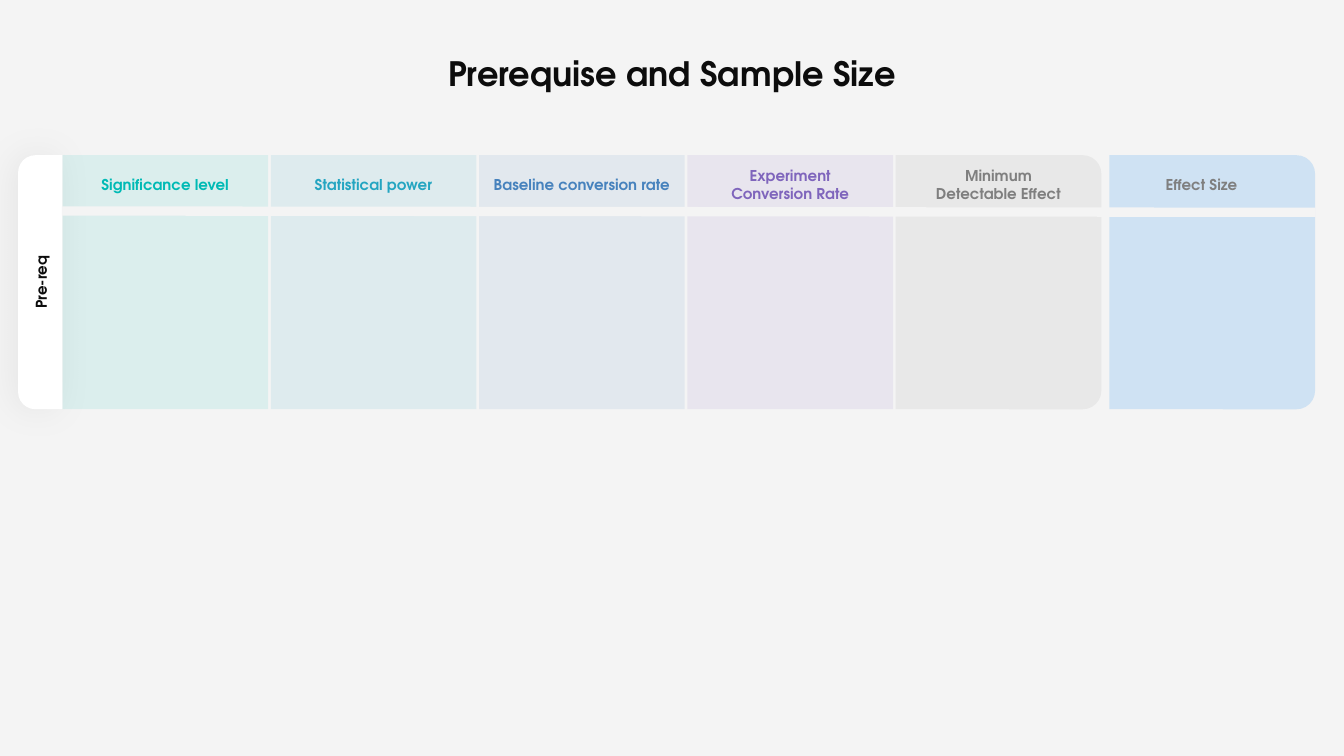
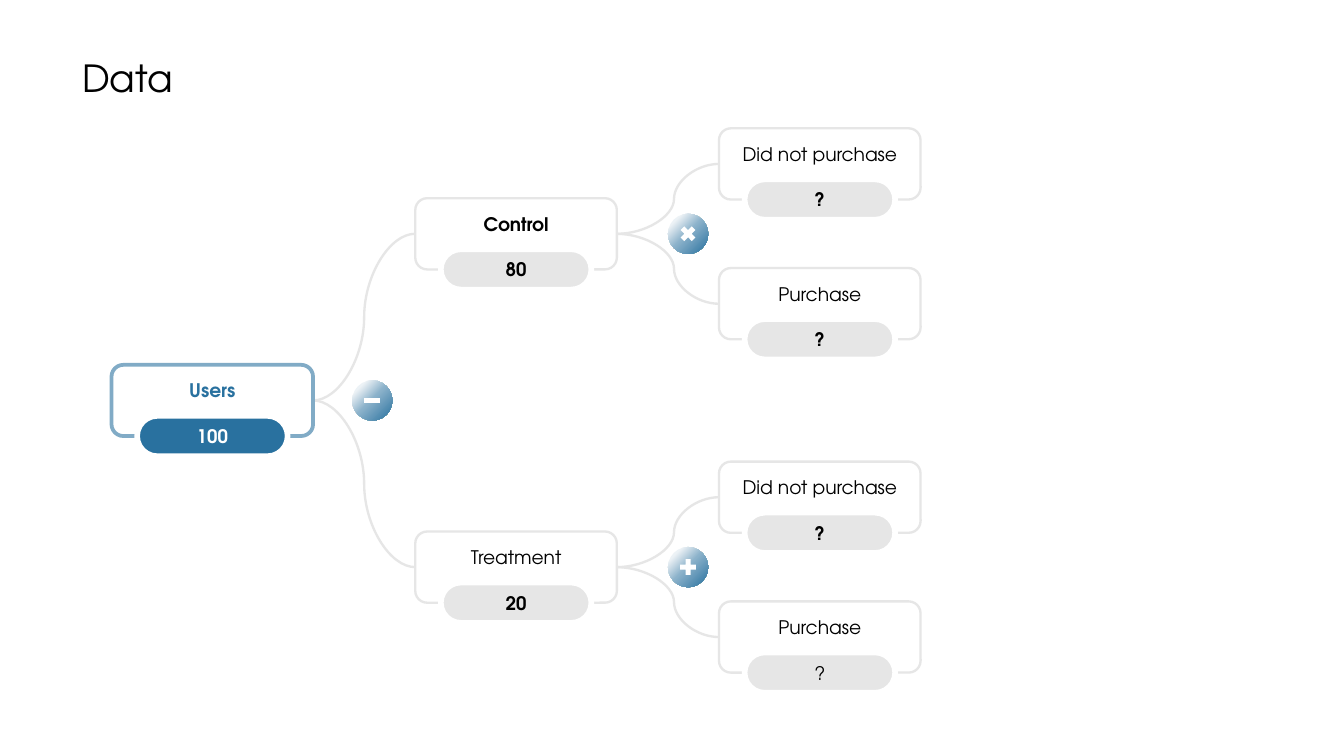
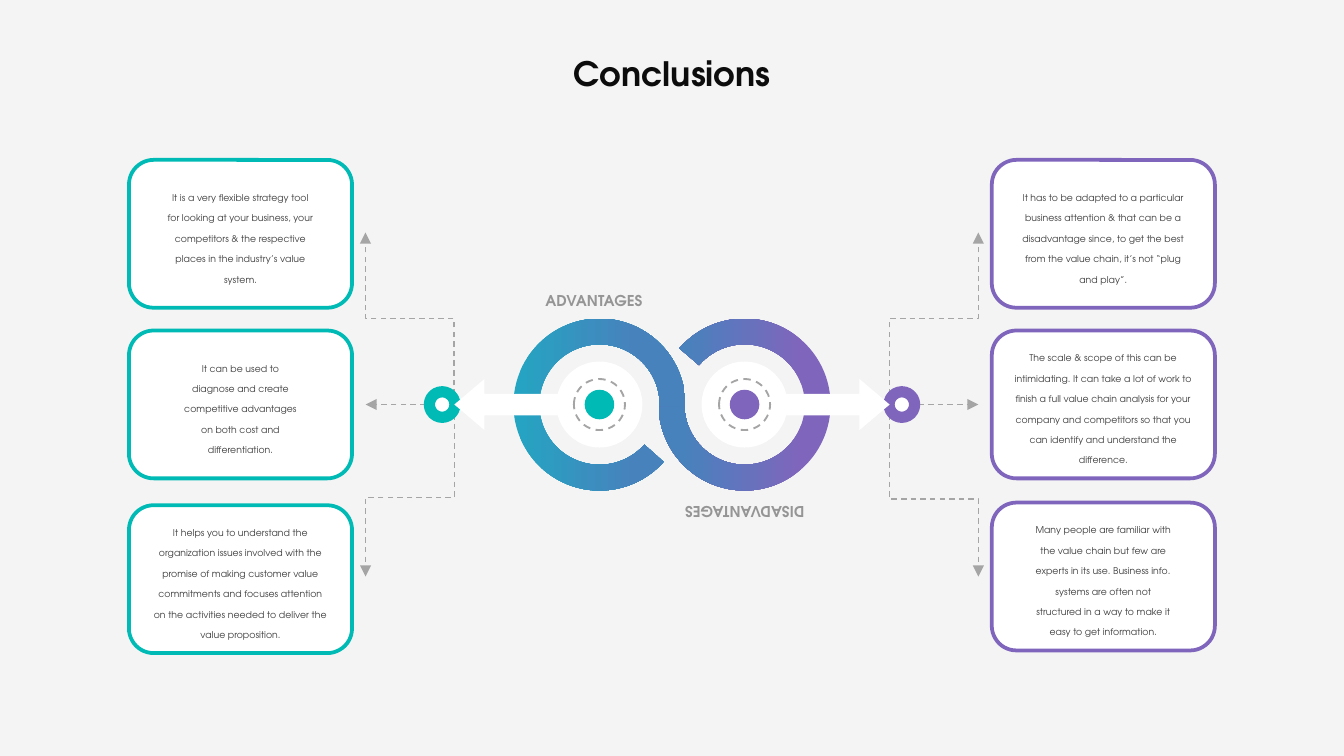
from dataclasses import dataclass

from pptx import Presentation
from pptx.dml.color import RGBColor
from pptx.enum.dml import MSO_LINE
from pptx.enum.shapes import MSO_CONNECTOR, MSO_SHAPE
from pptx.enum.text import MSO_ANCHOR, PP_ALIGN
from pptx.oxml import parse_xml
from pptx.oxml.ns import nsdecls, qn
from pptx.util import Inches, Pt

LEFT, CENTER = PP_ALIGN.LEFT, PP_ALIGN.CENTER
TOP, MIDDLE = MSO_ANCHOR.TOP, MSO_ANCHOR.MIDDLE
STRAIGHT, ELBOW, CURVE = MSO_CONNECTOR.STRAIGHT, MSO_CONNECTOR.ELBOW, MSO_CONNECTOR.CURVE
DASH = MSO_LINE.DASH
OVAL, ROUNDED = MSO_SHAPE.OVAL, MSO_SHAPE.ROUNDED_RECTANGLE
ROUND_TOP, BLOCK_ARC = MSO_SHAPE.ROUND_2_SAME_RECTANGLE, MSO_SHAPE.BLOCK_ARC
DOWN_ARROW = MSO_SHAPE.DOWN_ARROW
MINUS, PLUS, TIMES = MSO_SHAPE.MATH_MINUS, MSO_SHAPE.MATH_PLUS, MSO_SHAPE.MATH_MULTIPLY


@dataclass(frozen=True)
class Theme:
    font: str = "TeX Gyre Adventor"
    paper: str = "F4F4F4"
    white: str = "FFFFFF"
    black: str = "000000"
    ink: str = "0C0C0C"
    body: str = "3F3F3F"
    caption: str = "959595"
    teal: str = "00BAB5"
    cyan: str = "24A5C1"
    blue: str = "4782BD"
    purple: str = "7F65BC"
    gray: str = "7F7F7F"
    sky: str = "CFE2F3"
    dash: str = "A5A5A5"
    pale: str = "E6E6E6"
    navy: str = "29719F"
    navy_line: str = "81ABC6"
    title_size: int = 18
    plain_title_size: int = 20
    node_size: int = 10
    label_size: int = 8
    body_size: int = 5


THEME = Theme()
TITLE_BOX = (2.26, 0.33, 5.48, 0.43)
TITLE_INSETS = (0.07, 0.04, 0.07, 0.04)
NO_INSETS = (0, 0, 0, 0)

# Content: heading, colour, label width
PREREQUISITES = [
    ("Significance level", THEME.teal, 1.1),
    ("Statistical power", THEME.cyan, 1.1),
    ("Baseline conversion rate", THEME.blue, 1.39),
    ("Experiment Conversion Rate", THEME.purple, 1.1),
    ("Minimum Detectable Effect", THEME.gray, 1.1),
]

# Content: label, label bold, value, value bold, badge, children
USER_TREE = ("Users", True, "100", True, MINUS, [
    ("Control", True, "80", True, TIMES, [
        ("Did not purchase", False, "?", True, None, []),
        ("Purchase", False, "?", True, None, []),
    ]),
    ("Treatment", False, "20", True, PLUS, [
        ("Did not purchase", False, "?", True, None, []),
        ("Purchase", False, "?", False, None, []),
    ]),
])

# Content: each card has its text, text width, text height and top
SIDES = [
    dict(sign=-1, color=THEME.teal, lower_bend=0.54, cards=[
        ("It is a very flexible strategy tool for looking at your business, your "
         "competitors & the respective places in the industry’s value system.", 1.1, 0.45, 1.19),
        ("It can be used to diagnose and create competitive advantages on both cost "
         "and differentiation.", 0.88, 0.45, 2.46),
        ("It helps you to understand the organization issues involved with the promise "
         "of making customer value commitments and focuses attention on the activities "
         "needed to deliver the value proposition.", 1.31, 0.56, 3.76),
    ]),
    dict(sign=1, color=THEME.purple, lower_bend=0.55, cards=[
        ("It has to be adapted to a particular business attention & that can be a "
         "disadvantage since, to get the best from the value chain, it’s not “plug "
         "and play”.", 1.24, 0.45, 1.19),
        ("The scale & scope of this can be intimidating. It can take a lot of work to "
         "finish a full value chain analysis for your company and competitors so that "
         "you can identify and understand the difference.", 1.34, 0.56, 2.46),
        ("Many people are familiar with the value chain but few are experts in its use. "
         "Business info. systems are often not structured in a way to make it easy to "
         "get information.", 1.04, 0.56, 3.74),
    ]),
]


# Shared helpers
def rgb(color):
    return RGBColor.from_string(color)


def write(shape, text, size, color, bold=False, align=CENTER, anchor=MIDDLE,
          insets=NO_INSETS, spacing=None):
    frame = shape.text_frame
    frame.word_wrap = True
    frame.vertical_anchor = anchor
    (frame.margin_left, frame.margin_top,
     frame.margin_right, frame.margin_bottom) = map(Inches, insets)
    frame.text = text
    paragraph = frame.paragraphs[0]
    paragraph.alignment = align
    if spacing:
        paragraph.line_spacing = spacing
    font = paragraph.runs[0].font
    font.name, font.size, font.bold = THEME.font, Pt(size), bold
    font.color.rgb = rgb(color)


def add_slide(presentation, title, background, box=TITLE_BOX, size=THEME.title_size,
              color=THEME.ink, bold=True, align=CENTER):
    slide = presentation.slides.add_slide(presentation.slide_layouts[5])
    slide.background.fill.solid()
    slide.background.fill.fore_color.rgb = rgb(background)
    heading = slide.shapes.title
    heading.left, heading.top, heading.width, heading.height = map(Inches, box)
    write(heading, title, size, color, bold, align, insets=TITLE_INSETS)
    return slide


def add_text(slide, box, text, size, color, rotation=0, **style):
    shape = slide.shapes.add_textbox(*map(Inches, box))
    shape.rotation = rotation
    write(shape, text, size, color, **style)


def add_shape(slide, kind, box, fill=None, line=None, line_width=1, dash=None,
              rotation=0, adjustments=()):
    shape = slide.shapes.add_shape(kind, *map(Inches, box))
    shape.shadow.inherit = False
    shape.rotation = rotation
    for index, value in enumerate(adjustments):
        shape.adjustments[index] = value
    if fill:
        shape.fill.solid()
        shape.fill.fore_color.rgb = rgb(fill)
    else:
        shape.fill.background()
    if line:
        shape.line.color.rgb = rgb(line)
        shape.line.width = Pt(line_width)
        shape.line.dash_style = dash
    else:
        shape.line.fill.background()
    return shape


def around(x, y, width, height):
    """Box of the given size centred on a point."""
    return x - width / 2, y - height / 2, width, height


def add_line(slide, kind, start, end, color, width, dash=None, bend=None,
             rotation=0, arrow=False):
    line = slide.shapes.add_connector(kind, *map(Inches, (*start, *end)))
    line.line.color.rgb = rgb(color)
    line.line.width = Pt(width)
    line.line.dash_style = dash
    properties = line._element.spPr
    if arrow:
        properties.find(qn("a:ln")).append(
            parse_xml(f'<a:tailEnd {nsdecls("a")} type="triangle"/>'))
    if bend:
        properties.find(qn("a:prstGeom")).get_or_add_avLst().append(parse_xml(
            f'<a:gd {nsdecls("a")} name="adj1" fmla="val {round(bend * 100000)}"/>'))
    if rotation:
        properties.find(qn("a:xfrm")).set("rot", str(rotation * 60000))
    properties.append(parse_xml(f'<a:effectLst {nsdecls("a")}/>'))


def set_alpha(shape, percent):
    color = shape._element.spPr.find(qn("a:solidFill"))[0]
    color.append(parse_xml(f'<a:alpha {nsdecls("a")} val="{percent * 1000}"/>'))


def set_gradient(shape, stops, direction):
    marks = "".join(f'<a:gs pos="{position * 1000}"><a:srgbClr val="{color}"/></a:gs>'
                    for position, color in stops)
    properties = shape._element.spPr
    properties.replace(properties.find(qn("a:solidFill")), parse_xml(
        f'<a:gradFill {nsdecls("a")} rotWithShape="1"><a:gsLst>{marks}</a:gsLst>'
        f'{direction}</a:gradFill>'))


# Slide 1: prerequisite columns
def build_prerequisites(presentation):
    slide = add_slide(presentation, "Prerequise and Sample Size", THEME.paper)
    middle, height, width, pitch, first = 2.1, 1.89, 1.53, 1.55, 1.23
    label_y, label_height, effect_x = 1.37, 0.14, 9.02

    def add_column(x, color, corner):
        return add_shape(slide, ROUND_TOP, around(x, middle, height, width), color,
                         rotation=270, adjustments=(0, corner))

    def add_label(x, text, color, label_width):
        add_text(slide, around(x, label_y, label_width, label_height), text,
                 THEME.label_size, color, bold=True)

    for index, (_, color, _) in enumerate(PREREQUISITES):
        is_last = index == len(PREREQUISITES) - 1
        set_alpha(add_column(first + index * pitch, color, 0.09 if is_last else 0), 10)
    add_column(effect_x, THEME.sky, 0.09)

    # White row tab with a soft shadow
    tab = add_shape(slide, ROUND_TOP, around(0.3, middle, height, 0.33), THEME.white,
                    rotation=270, adjustments=(0.39, 0))
    write(tab, "Pre-req", THEME.label_size, THEME.ink, bold=True, insets=(0, 0, 0, 0.03))
    tab._element.spPr.find(qn("a:effectLst")).append(parse_xml(
        f'<a:outerShdw {nsdecls("a")} blurRad="{Pt(20)}" dist="{Pt(3)}" dir="10800000">'
        f'<a:srgbClr val="{THEME.black}"><a:alpha val="5000"/></a:srgbClr></a:outerShdw>'))

    # Divider under the headings
    add_line(slide, STRAIGHT, (0.46, 1.57), (9.79, 1.58), THEME.paper, 5)
    for index, (text, color, label_width) in enumerate(PREREQUISITES):
        add_label(first + index * pitch, text, color, label_width)
    add_label(effect_x - 0.08, "Effect Size", THEME.gray, 1.1)


# Slide 2: user tree
NODE_WIDTH, NODE_HEIGHT, NODE_PITCH = 1.5, 0.53, 2.26
LEVELS = [dict(spread=1.24, bend=0.5, badge_x=2.77),
          dict(spread=0.52, bend=0.56, badge_x=5.12)]
BADGE_STOPS = [(0, "2A729F"), (51, "8BB2CB"), (81, "ECF2F6"), (100, "ECF2F6")]
BADGE_DIRECTION = '<a:path path="circle"><a:fillToRect l="100000" t="100000"/></a:path>'


def add_branch(slide, node, level, middle):
    label, label_bold, value, value_bold, badge, children = node
    x, y = 0.83 + level * NODE_PITCH, middle - NODE_HEIGHT / 2
    child_middles = []
    if children:
        spread, bend = LEVELS[level]["spread"], LEVELS[level]["bend"]
        child_middles = [middle - spread, middle + spread]
        for child_middle in child_middles:
            add_line(slide, CURVE, (x + NODE_WIDTH, middle), (x + NODE_PITCH, child_middle),
                     THEME.pale, 1.25, bend=bend)

    is_root = level == 0
    box = add_shape(slide, ROUNDED, (x, y, NODE_WIDTH, NODE_HEIGHT), THEME.white,
                    THEME.navy_line if is_root else THEME.pale, 2 if is_root else 1.25)
    write(box, label, THEME.node_size, THEME.navy if is_root else THEME.black, label_bold,
          insets=(0.04, 0.04, 0.04, 0.19))
    pill = add_shape(slide, ROUNDED, (x + 0.19, y + 0.38, 1.12, 0.3),
                     THEME.navy if is_root else THEME.pale, THEME.white, 3, adjustments=(0.5,))
    write(pill, value, THEME.node_size, THEME.white if is_root else THEME.black, value_bold,
          insets=(0.04, 0.07, 0.04, 0.07))

    for child, child_middle in zip(children, child_middles):
        add_branch(slide, child, level + 1, child_middle)
    if badge:
        badge_x = LEVELS[level]["badge_x"]
        circle = add_shape(slide, OVAL, around(badge_x, middle, 0.3, 0.3), THEME.navy)
        set_gradient(circle, BADGE_STOPS, BADGE_DIRECTION)
        add_shape(slide, badge, around(badge_x, middle, 0.16, 0.16), THEME.white)


def build_data(presentation):
    slide = add_slide(presentation, "Data", THEME.white, (0.54, 0.22, 3.77, 0.72),
                      THEME.plain_title_size, THEME.black, False, LEFT)
    add_branch(slide, USER_TREE, 0, 2.98)


# Slide 3: two-sided loop with cards
AXIS_X, AXIS_Y = 5, 3.01
LOOP_OFFSET, LOOP_SIZE = 0.54, 1.28
LINEAR = '<a:lin ang="10800000" scaled="0"/>'
ARCS = [
    (-1, 180, (133.07, 109.49, 0.15),
     [(0, "24A5C2"), (71, THEME.blue), (100, THEME.blue)]),
    (1, 0, (132.49, 107.08, 0.15),
     [(0, THEME.purple), (17, THEME.purple), (86, THEME.blue), (100, THEME.blue)]),
]
CAPTIONS = [("ADVANTAGES", (3.78, 2.1, 1.28, 0.19), 0),
            ("DISADVANTAGES", (4.9, 3.76, 1.28, 0.19), 180)]


def add_turning_arrow(slide, start, end, bend):
    """Dashed elbow that leaves its start vertically."""
    (x1, y1), (x2, y2) = start, end
    goes_left = x2 < x1
    reach = y2 - y1 if goes_left else y1 - y2
    x, y, half = (x1 + x2) / 2, (y1 + y2) / 2, abs(x2 - x1) / 2
    add_line(slide, ELBOW, (x - reach / 2, y - half), (x + reach / 2, y + half), THEME.dash,
             0.75, DASH, bend, 90 if goes_left else 270, arrow=True)


def add_side_arrows(slide, sign, color, lower_bend):
    start, tip_x = (AXIS_X + sign * 1.62, AXIS_Y), AXIS_X + sign * 2.28
    add_turning_arrow(slide, start, (tip_x, AXIS_Y - 1.28), 0.5)
    add_line(slide, STRAIGHT, start, (tip_x, AXIS_Y), THEME.dash, 0.75, DASH, arrow=True)
    add_turning_arrow(slide, start, (tip_x, AXIS_Y + 1.28), lower_bend)
    add_shape(slide, OVAL, around(AXIS_X + sign * 1.71, AXIS_Y, 0.19, 0.19), THEME.white,
              color, 6)


def add_hub(slide, sign, color):
    x = AXIS_X + sign * LOOP_OFFSET
    add_shape(slide, DOWN_ARROW, around(AXIS_X + sign * 1.09, AXIS_Y, 0.38, 1.06), THEME.white,
              rotation=90 if sign < 0 else 270, adjustments=(0.42, 0.59))
    add_shape(slide, OVAL, around(x, AXIS_Y, 0.64, 0.64), THEME.white)
    add_shape(slide, OVAL, around(x, AXIS_Y, 0.22, 0.22), color)
    add_shape(slide, OVAL, around(x, AXIS_Y, 0.38, 0.38), line=THEME.dash, dash=DASH)


def add_cards(slide, sign, color, cards):
    x, width, height = AXIS_X + sign * 3.21, 1.66, 1.1
    for text, text_width, text_height, top in cards:
        middle = top + height / 2
        add_shape(slide, ROUNDED, around(x, middle, width, height), THEME.white, color, 2)
        add_text(slide, around(x, middle, text_width, text_height), text, THEME.body_size,
                 THEME.body, spacing=1.83)


def build_conclusions(presentation):
    slide = add_slide(presentation, "Conclusions", THEME.paper)
    for side in SIDES:
        add_side_arrows(slide, side["sign"], side["color"], side["lower_bend"])
    for sign, rotation, adjustments, stops in ARCS:
        arc = add_shape(slide, BLOCK_ARC,
                        around(AXIS_X + sign * LOOP_OFFSET, AXIS_Y, LOOP_SIZE, LOOP_SIZE),
                        THEME.blue, rotation=rotation, adjustments=adjustments)
        set_gradient(arc, stops, LINEAR)
    for side in SIDES:
        add_hub(slide, side["sign"], side["color"])
        add_cards(slide, side["sign"], side["color"], side["cards"])
    for text, box, rotation in CAPTIONS:
        add_text(slide, box, text, THEME.label_size, THEME.caption, rotation, bold=True,
                 anchor=TOP, insets=(0.07, 0.07, 0.07, 0.07))


def main():
    presentation = Presentation()
    # Widescreen, 16:9
    presentation.slide_width = Inches(10)
    presentation.slide_height = Inches(10 * 9 / 16)
    build_prerequisites(presentation)
    build_data(presentation)
    build_conclusions(presentation)
    presentation.save("out.pptx")


if __name__ == "__main__":
    main()
